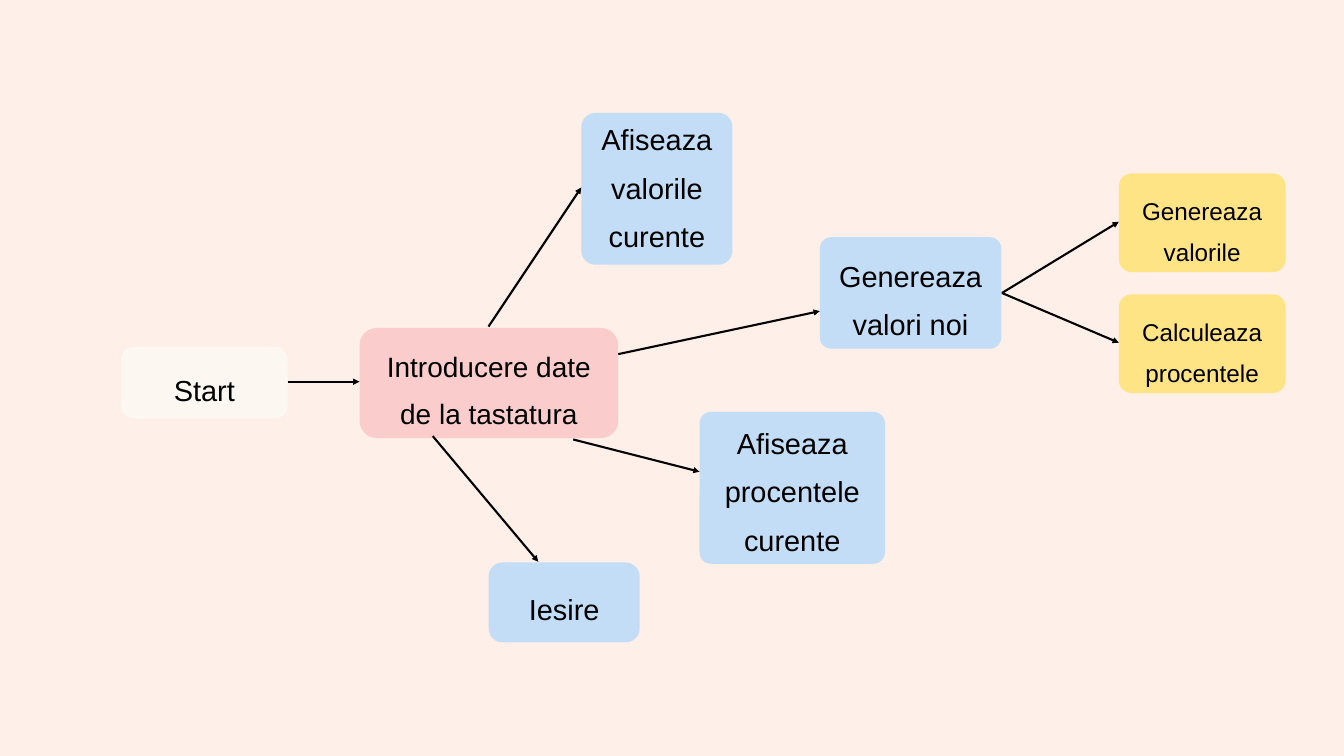
from dataclasses import dataclass
from lxml import etree
from pptx import Presentation
from pptx.dml.color import RGBColor
from pptx.enum.shapes import MSO_CONNECTOR, MSO_SHAPE
from pptx.enum.text import MSO_ANCHOR, PP_ALIGN
from pptx.oxml.ns import qn
from pptx.util import Inches, Pt

ROUND = MSO_SHAPE.ROUNDED_RECTANGLE
STRAIGHT = MSO_CONNECTOR.STRAIGHT
MIDDLE = MSO_ANCHOR.MIDDLE
CENTER = PP_ALIGN.CENTER


@dataclass(frozen=True)
class Theme:
    back: str = "FEEFE8"
    ink: str = "000000"
    start: str = "FCF8F1"
    input: str = "FACDCC"
    choice: str = "C4DDF6"
    step: str = "FFE486"
    font: str = "Arial"
    large: float = 31
    medium: float = 30
    small: float = 26
    line: float = 2.25
    leading: float = 1.4
    side: float = 0.18


THEME = Theme()


def paint(fill, color):
    fill.solid()
    fill.fore_color.rgb = RGBColor.from_string(color)


def add_node(slide, text, box, radius, color, size=THEME.large, shift=0):
    node = slide.shapes.add_shape(ROUND, *map(Inches, box))
    node.shadow.inherit = False
    node.adjustments[0] = radius / min(box[2:])
    paint(node.fill, color)
    node.line.fill.background()
    frame = node.text_frame
    frame.word_wrap = True
    frame.vertical_anchor = MIDDLE
    frame.margin_left = frame.margin_right = Inches(THEME.side)
    frame.margin_top = Inches(max(0, 2 * shift))
    frame.margin_bottom = Inches(max(0, -2 * shift))
    para = frame.paragraphs[0]
    para.alignment = CENTER
    para.line_spacing = THEME.leading
    run = para.add_run()
    run.text = text
    run.font.name = THEME.font
    run.font.size = Pt(size)
    run.font.color.rgb = RGBColor.from_string(THEME.ink)


def add_arrow(slide, *ends):
    arrow = slide.shapes.add_connector(STRAIGHT, *map(Inches, ends))
    paint(arrow.line.fill, THEME.ink)
    arrow.line.width = Pt(THEME.line)
    props = arrow.element.spPr
    etree.SubElement(props.find(qn("a:ln")), qn("a:tailEnd"), type="triangle")
    etree.SubElement(props, qn("a:effectLst"))


def main():
    deck = Presentation()
    deck.slide_width, deck.slide_height = Inches(20), Inches(11.25)
    slide = deck.slides.add_slide(deck.slide_layouts[6])
    paint(slide.background.fill, THEME.back)

    add_node(slide, "Start", (1.8, 5.16, 2.48, 1.07), 0.19, THEME.start)
    add_node(slide, "Introducere date de la tastatura", (5.35, 4.88, 3.85, 1.64),
             0.26, THEME.input, THEME.medium)

    choices = [
        ("Iesire", (7.27, 8.37, 2.25, 1.19), 0.21, 0),
        ("Afiseaza valorile curente", (8.65, 1.68, 2.25, 2.26), 0.21, -0.12),
        ("Afiseaza procentele curente", (10.41, 6.13, 2.76, 2.26), 0.17, -0.05),
        ("Genereaza valori noi", (12.2, 3.53, 2.7, 1.66), 0.17, 0),
    ]
    for text, box, radius, shift in choices:
        add_node(slide, text, box, radius, THEME.choice, shift=shift)

    for row, text in enumerate(["Genereaza valorile", "Calculeaza procentele"]):
        add_node(slide, text, (16.65, 2.58 + 1.8 * row, 2.48, 1.47), 0.19,
                 THEME.step, THEME.small, 0.04)
        add_arrow(slide, 14.91, 4.36, 16.65, 3.3 + 1.8 * row)

    for ends in [
        (4.28, 5.68, 5.35, 5.68),
        (9.2, 5.27, 12.2, 4.63),
        (6.44, 6.49, 8.01, 8.36),
        (7.27, 4.86, 8.65, 2.79),
        (8.53, 6.54, 10.41, 7.02),
    ]:
        add_arrow(slide, *ends)

    deck.save("out.pptx")


main()
